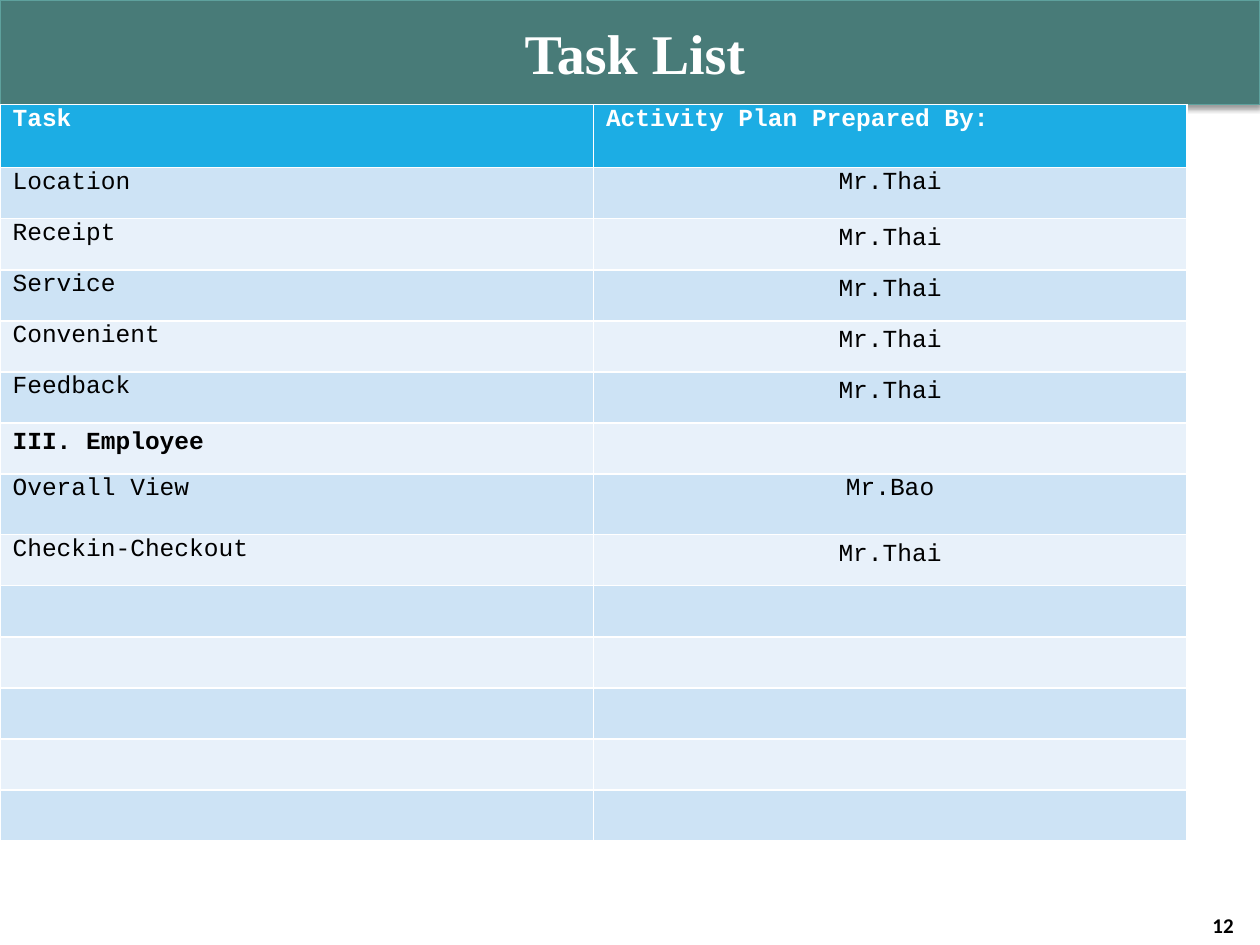
import pptx
import pptx.util
import pptx.dml.color
import pptx.enum.shapes
import pptx.enum.text
import pptx.oxml
import pptx.oxml.ns
from lxml import etree

Inches = pptx.util.Inches
Pt = pptx.util.Pt
RGBColor = pptx.dml.color.RGBColor
ALIGN = pptx.enum.text.PP_ALIGN
MIDDLE = pptx.enum.text.MSO_ANCHOR.MIDDLE
qn = pptx.oxml.ns.qn

WHITE = RGBColor(0xFF, 0xFF, 0xFF)
BLACK = RGBColor(0, 0, 0)
TEAL = RGBColor(0x48, 0x7B, 0x78)
EDGE = RGBColor(0x5E, 0xA1, 0x9D)
BLUE = RGBColor(0x1C, 0xAD, 0xE4)
BANDS = (RGBColor(0xE8, 0xF1, 0xFA), RGBColor(0xCD, 0xE3, 0xF5))

HEAD = ("Task", "Activity Plan Prepared By:")
GROUP = "III. Employee"
TASKS = [
    ("Location", "Mr.Thai"),
    ("Receipt", "Mr.Thai"),
    ("Service", "Mr.Thai"),
    ("Convenient", "Mr.Thai"),
    ("Feedback", "Mr.Thai"),
    (GROUP, ""),
    ("Overall View", "Mr.Bao"),
    ("Checkin-Checkout", "Mr.Thai"),
]
BLANKS = 5
TALL = {0: 0.5, 7: 0.48}
SHADOW = (
    f'<a:effectLst {pptx.oxml.ns.nsdecls("a")}>'
    f'<a:outerShdw blurRad="{Pt(3.1)}" dist="{Pt(1.6)}" dir="5400000" rotWithShape="0">'
    '<a:srgbClr val="000000"><a:alpha val="38000"/></a:srgbClr>'
    "</a:outerShdw></a:effectLst>"
)


def style(para, face, size, color, bold, align):
    """Format a paragraph and all its runs."""
    para.alignment = align
    for run in para.runs:
        run.font.name = face
        run.font.size = Pt(size)
        run.font.bold = bold
        run.font.color.rgb = color


def tighten(para):
    """Set 70% line spacing and 50% space before."""
    para.line_spacing = 0.7
    space = etree.SubElement(para._p.get_or_add_pPr(), qn("a:spcBef"))
    etree.SubElement(space, qn("a:spcPct")).set("val", "50000")


def add_header(slide, left, top, width, height):
    """Place the shaded band with the slide title on it."""
    kind = pptx.enum.shapes.MSO_SHAPE.RECTANGLE
    band = slide.shapes.add_shape(kind, left, top, width, height)
    band.fill.solid()
    band.fill.fore_color.rgb = TEAL
    band.line.color.rgb = EDGE
    band.line.width = Pt(0.75)
    band.element.spPr.append(pptx.oxml.parse_xml(SHADOW))

    title = slide.shapes.title
    title.element.addprevious(band.element)
    title.left, title.top = left + Inches(0.33), top + Inches(0.08)
    title.width, title.height = width - Inches(0.58), height - Inches(0.16)
    title.text_frame.text = "Task List"
    title.text_frame.vertical_anchor = MIDDLE
    style(title.text_frame.paragraphs[0], "Times New Roman", 32, WHITE, True, ALIGN.CENTER)


def add_tasks(slide, left, top, width, height):
    """Place the banded table of tasks and their planners."""
    rows = [HEAD] + TASKS + [("", "")] * BLANKS
    table = slide.shapes.add_table(len(rows), len(HEAD), left, top, width, height).table
    plain = (height - Inches(sum(TALL.values()))) // (len(rows) - len(TALL))
    for r, row in enumerate(rows):
        table.rows[r].height = Inches(TALL[r]) if r in TALL else plain
        for c, text in enumerate(row):
            cell = table.cell(r, c)
            cell.fill.solid()
            cell.fill.fore_color.rgb = BANDS[r % 2] if r else BLUE
            if not text:
                continue
            cell.text_frame.text = text
            para = cell.text_frame.paragraphs[0]
            bold = r == 0 or text == GROUP
            align = ALIGN.CENTER if r and c else ALIGN.LEFT
            style(para, "Courier New", 14, BLACK if r else WHITE, bold, align)
            if text != GROUP and (c == 0 or r in (0, 1, 7)):
                tighten(para)
    props = table.cell(1, 0).text_frame.paragraphs[0]._p.get_or_add_pPr()
    props.set("marL", str(Inches(0.44)))
    props.set("indent", str(-Inches(0.44)))


def add_number(slide, left, top, width, height):
    """Place the page number at the right of its box."""
    frame = slide.shapes.add_textbox(left, top, width, height).text_frame
    frame.word_wrap = True
    frame.vertical_anchor = MIDDLE
    frame.margin_top = frame.margin_bottom = 0
    frame.text = "12"
    style(frame.paragraphs[0], "Calibri", 12, BLACK, True, ALIGN.RIGHT)


def main():
    """Build the task list slide and save it."""
    deck = pptx.Presentation()
    deck.slide_width, deck.slide_height = Inches(10), Inches(7.5)
    slide = deck.slides.add_slide(deck.slide_layouts[5])
    add_header(slide, 0, 0, deck.slide_width, Inches(0.83))
    add_tasks(slide, 0, Inches(0.83), Inches(9.42), Inches(5.85))
    add_number(slide, Inches(0.12), Inches(7.25), Inches(9.77), Inches(0.18))
    deck.save("out.pptx")


if __name__ == "__main__":
    main()
